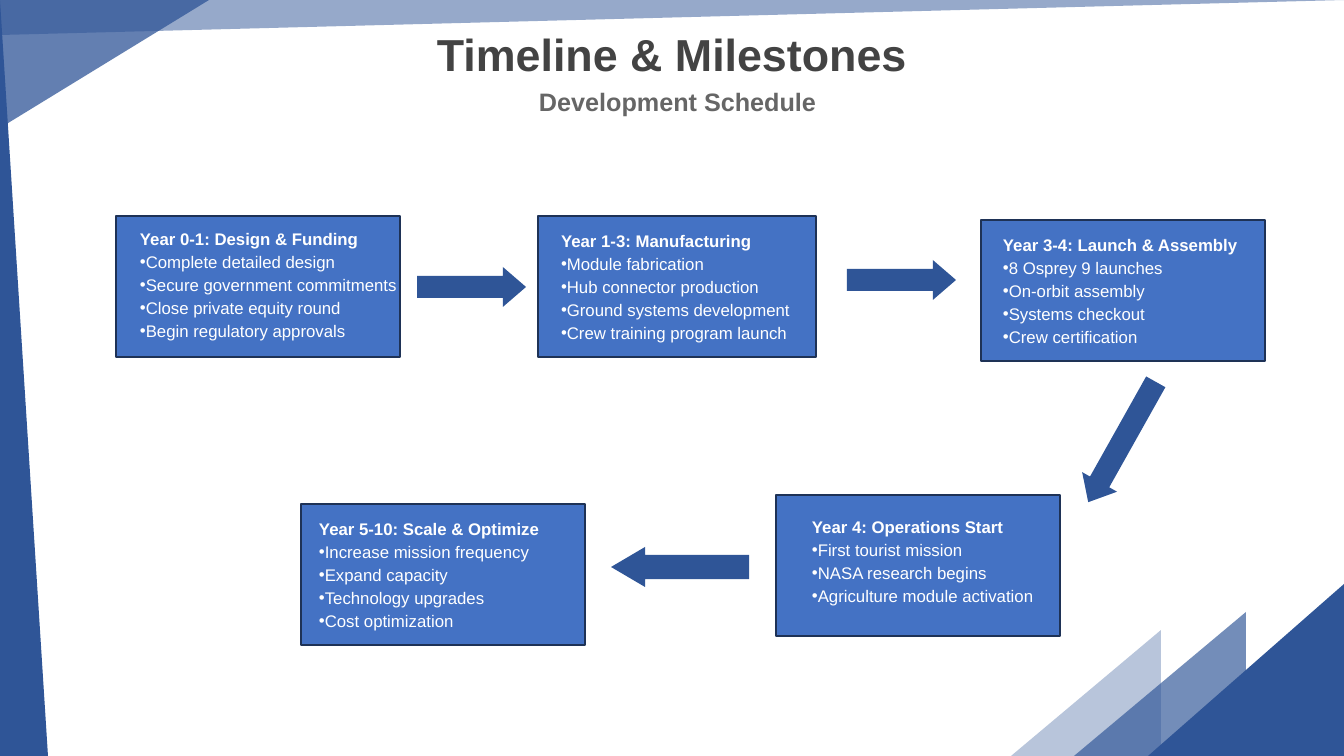
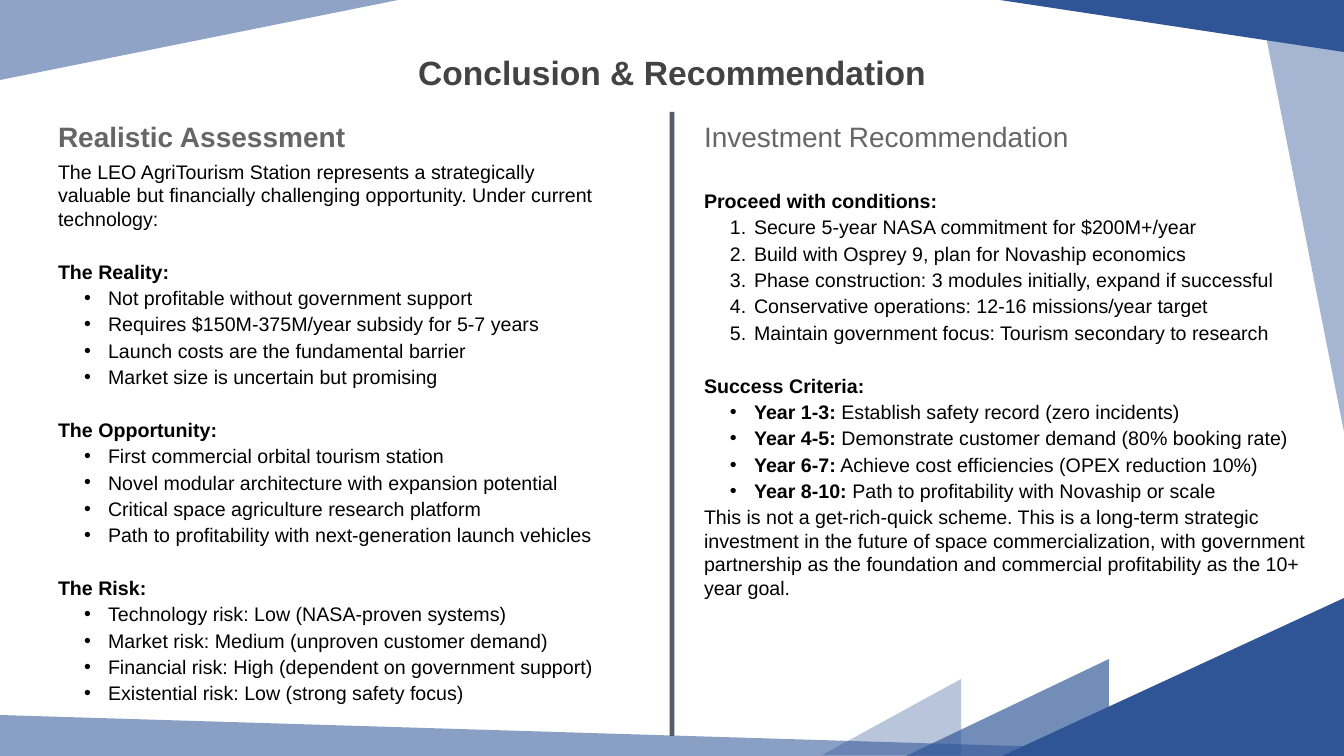
import pptx
import pptx.dml.color
import pptx.enum.shapes
import pptx.enum.text
import pptx.oxml.ns
import pptx.util
from lxml import etree

# Shared look
FONT = "Arial"
NAVY, BLUE, EDGE = "2F5597", "4472C4", "1E3256"
DARK, GREY, BLACK, WHITE, SLATE = "434343", "666666", "000000", "FFFFFF", "333F50"
SLIDE_W, SLIDE_H = 1344, 756
EMU_PER_PX = 12192000 / SLIDE_W
SHAPE = pptx.enum.shapes.MSO_SHAPE
ALIGN = pptx.enum.text.PP_ALIGN

# Corner of the right angle: (adjustment, rotation) of the triangle
CORNERS = {"BR": (1, 0), "BL": (0, 0), "TL": (1, 180), "TR": (0, 180)}

# Decoration: corner, left, top, width, height, opacity %
TIMELINE_WEDGES = [
    ("BR", 1148, 584, 196, 172, 100),
    ("BR", 1074, 612, 172, 144, 67),
    ("BR", 1011, 630, 150, 126, 34),
    ("TL", 0, 0, 209, 128, 75),
    ("TL", 0, 0, 1344, 35, 50),
    ("BL", 0, 0, 48, 756, 100),
]
CONCLUSION_WEDGES = [
    ("BR", 1002, 598, 342, 158, 100),
    ("TR", 1000, 0, 344, 52, 100),
    ("TL", 0, 0, 398, 80, 54),
    ("BL", 0, 715, 1344, 41, 56),
    ("TR", 1261, 11, 83, 421, 43),
    ("BR", 906, 659, 203, 97, 67),
    ("BR", 822, 679, 139, 76, 34),
]

# Milestones: left, top, width, text inset left, text inset top, heading, items
MILESTONES = [
    (116, 216, 284, 24, 13, "Year 0-1: Design & Funding",
     ["Complete detailed design", "Secure government commitments",
      "Close private equity round", "Begin regulatory approvals"]),
    (538, 216, 278, 23, 15, "Year 1-3: Manufacturing",
     ["Module fabrication", "Hub connector production",
      "Ground systems development", "Crew training program launch"]),
    (981, 220, 284, 22, 15, "Year 3-4: Launch & Assembly",
     ["8 Osprey 9 launches", "On-orbit assembly",
      "Systems checkout", "Crew certification"]),
    (776, 495, 284, 36, 22, "Year 4: Operations Start",
     ["First tourist mission", "NASA research begins",
      "Agriculture module activation"]),
    (301, 504, 284, 18, 15, "Year 5-10: Scale & Optimize",
     ["Increase mission frequency", "Expand capacity",
      "Technology upgrades", "Cost optimization"]),
]
MILESTONE_H = 141

# Arrows: left, top, width, rotation, shaft and head adjustments
ARROWS = [
    (417, 267, 109, 0, 0.55, 0.58),
    (847, 260, 109, 0, 0.55, 0.58),
    (1053, 422, 138, 119.3, 0.55, 0.58),
    (611, 547, 138, 180, 0.61, 0.85),
]
ARROW_H = 40

ASSESSMENT = [
    ("The Reality:",
     ["Not profitable without government support",
      "Requires $150M-375M/year subsidy for 5-7 years",
      "Launch costs are the fundamental barrier",
      "Market size is uncertain but promising"]),
    ("The Opportunity:",
     ["First commercial orbital tourism station",
      "Novel modular architecture with expansion potential",
      "Critical space agriculture research platform",
      "Path to profitability with next-generation launch vehicles"]),
    ("The Risk:",
     ["Technology risk: Low (NASA-proven systems)",
      "Market risk: Medium (unproven customer demand)",
      "Financial risk: High (dependent on government support)",
      "Existential risk: Low (strong safety focus)"]),
]
CONDITIONS = [
    "Secure 5-year NASA commitment for $200M+/year",
    "Build with Osprey 9, plan for Novaship economics",
    "Phase construction: 3 modules initially, expand if successful",
    "Conservative operations: 12-16 missions/year target",
    "Maintain government focus: Tourism secondary to research",
]
CRITERIA = [
    ("Year 1-3:", "Establish safety record (zero incidents)"),
    ("Year 4-5:", "Demonstrate customer demand (80% booking rate)"),
    ("Year 6-7:", "Achieve cost efficiencies (OPEX reduction 10%)"),
    ("Year 8-10:", "Path to profitability with Novaship or scale"),
]


def px(n):
    return pptx.util.Emu(round(n * EMU_PER_PX))


def rgb(hex_colour):
    return pptx.dml.color.RGBColor.from_string(hex_colour)


def paint(fill, colour, opacity=100):
    """Solid fill, see-through below 100 % opacity."""
    fill.solid()
    fill.fore_color.rgb = rgb(colour)
    if opacity < 100:
        # The private element is the only route to the alpha value
        clr = next(fill._xPr.iter(pptx.oxml.ns.qn("a:srgbClr")))
        etree.SubElement(clr, pptx.oxml.ns.qn("a:alpha"), val=str(opacity * 1000))


def add_shape(s, kind, box, colour, opacity=100, rotation=0, adjustments=()):
    sp = s.shapes.add_shape(kind, *map(px, box))
    sp.shadow.inherit = False
    sp.rotation = rotation
    for i, value in enumerate(adjustments):
        sp.adjustments[i] = value
    paint(sp.fill, colour, opacity)
    sp.line.fill.background()
    return sp


def add_wedges(s, wedges):
    for corner, x, y, w, h, opacity in wedges:
        adjustment, rotation = CORNERS[corner]
        add_shape(s, SHAPE.ISOSCELES_TRIANGLE, (x, y, w, h), NAVY, opacity,
                  rotation, [adjustment])


def place(sp, box):
    sp.left, sp.top, sp.width, sp.height = map(px, box)


def frame(sp, left=10, top=5, right=10):
    """Top-anchored wrapping text frame with px insets."""
    tf = sp.text_frame
    tf.word_wrap = True
    tf.auto_size = pptx.enum.text.MSO_AUTO_SIZE.NONE
    tf.vertical_anchor = pptx.enum.text.MSO_ANCHOR.TOP
    tf.margin_left, tf.margin_top, tf.margin_right = px(left), px(top), px(right)
    tf.margin_bottom = px(5)
    return tf


def add_paragraph(tf, runs, size, colour, bullet=None, hang=False,
                  before=1, after=1, align=ALIGN.LEFT):
    """runs: (text, bold) pairs; bullet: a character, "1." or None."""
    first = not tf.paragraphs[0].runs
    p = tf.paragraphs[0] if first else tf.add_paragraph()
    if hang:
        p.level = 1
    pPr = p._p.get_or_add_pPr()
    pPr.set("marL", str(px(50) if hang else 0))
    pPr.set("indent", str(px(-24) if hang else 0))
    qn = pptx.oxml.ns.qn
    if bullet is None:
        etree.SubElement(pPr, qn("a:buNone"))
    else:
        etree.SubElement(pPr, qn("a:buFont"), typeface=FONT)
        if bullet == "1.":
            etree.SubElement(pPr, qn("a:buAutoNum"), type="arabicPeriod")
        else:
            etree.SubElement(pPr, qn("a:buChar"), char=bullet)
    p.alignment = align
    p.space_before = pptx.util.Pt(0 if first else before)
    p.space_after = pptx.util.Pt(after)
    for text, bold in runs:
        r = p.add_run()
        r.text = text
        r.font.name, r.font.size, r.font.bold = FONT, pptx.util.Pt(size), bold
        r.font.color.rgb = rgb(colour)


def add_title(s, text, top, size):
    place(s.shapes.title, (336, top, 672, 64))
    add_paragraph(frame(s.shapes.title), [(text, True)], size, DARK,
                  align=ALIGN.CENTER)


def add_milestone(s, x, y, w, inset_left, inset_top, heading, items):
    sp = add_shape(s, SHAPE.FLOWCHART_PROCESS, (x, y, w, MILESTONE_H), BLUE)
    paint(sp.line.fill, EDGE)
    sp.line.width = pptx.util.Pt(1)
    tf = frame(sp, inset_left, inset_top, right=0)
    add_paragraph(tf, [(heading, True)], 12, WHITE)
    for item in items:
        add_paragraph(tf, [(item, False)], 12, WHITE, "•")


def add_section(tf, heading, items, bullet="•", before=20):
    """Bold heading and its list; each item is a list of runs."""
    add_paragraph(tf, [(heading, True)], 14, BLACK, before=before)
    for runs in items:
        add_paragraph(tf, runs, 14, BLACK, bullet, hang=True)


def plain(items):
    return [[(item, False)] for item in items]


def add_divider(s, x, top, bottom):
    line = s.shapes.add_connector(pptx.enum.shapes.MSO_CONNECTOR.STRAIGHT,
                                  px(x), px(top), px(x), px(bottom))
    paint(line.line.fill, SLATE, 84)
    line.line.width = pptx.util.Pt(3.25)
    etree.SubElement(line._element.spPr, pptx.oxml.ns.qn("a:effectLst"))


def build_timeline(prs):
    s = prs.slides.add_slide(prs.slide_layouts.get_by_name("Title Only"))
    add_wedges(s, TIMELINE_WEDGES)
    add_title(s, "Timeline & Milestones", 22, 32)
    subtitle = s.shapes.add_textbox(*map(px, (529, 81, 672, 40)))
    add_paragraph(frame(subtitle), [("Development Schedule", True)], 18, GREY)
    for milestone in MILESTONES:
        add_milestone(s, *milestone)
    for x, y, w, rotation, shaft, head in ARROWS:
        add_shape(s, SHAPE.RIGHT_ARROW, (x, y, w, ARROW_H), NAVY,
                  rotation=rotation, adjustments=(shaft, head))


def build_conclusion(prs):
    s = prs.slides.add_slide(prs.slide_layouts.get_by_name("Two Content"))
    add_wedges(s, CONCLUSION_WEDGES)
    add_title(s, "Conclusion & Recommendation", 47, 24)
    left, right = s.placeholders[1], s.placeholders[2]
    place(left, (48, 114, 572, 601))
    place(right, (694, 114, 628, 544))

    # Left column
    tf = frame(left)
    add_paragraph(tf, [("Realistic Assessment", True)], 20, GREY, after=4)
    add_paragraph(tf, [("The LEO AgriTourism Station represents a strategically "
                        "valuable but financially challenging opportunity. Under "
                        "current technology:", False)], 14, BLACK)
    for heading, items in ASSESSMENT:
        add_section(tf, heading, plain(items))

    # Right column
    tf = frame(right)
    add_paragraph(tf, [("Investment Recommendation", False)], 20, GREY)
    add_section(tf, "Proceed with conditions:", plain(CONDITIONS), "1.", before=25)
    add_section(tf, "Success Criteria:",
                [[(years, True), (" " + goal, False)] for years, goal in CRITERIA])
    add_paragraph(tf, [("This is not a get-rich-quick scheme. This is a long-term "
                        "strategic investment in the future of space "
                        "commercialization, with government partnership as the "
                        "foundation and commercial profitability as the 10+ year "
                        "goal.", False)], 14, BLACK)

    add_divider(s, SLIDE_W / 2, 112, 736)


def main():
    prs = pptx.Presentation()
    prs.slide_width, prs.slide_height = px(SLIDE_W), px(SLIDE_H)
    build_timeline(prs)
    build_conclusion(prs)
    prs.save("out.pptx")


if __name__ == "__main__":
    main()
